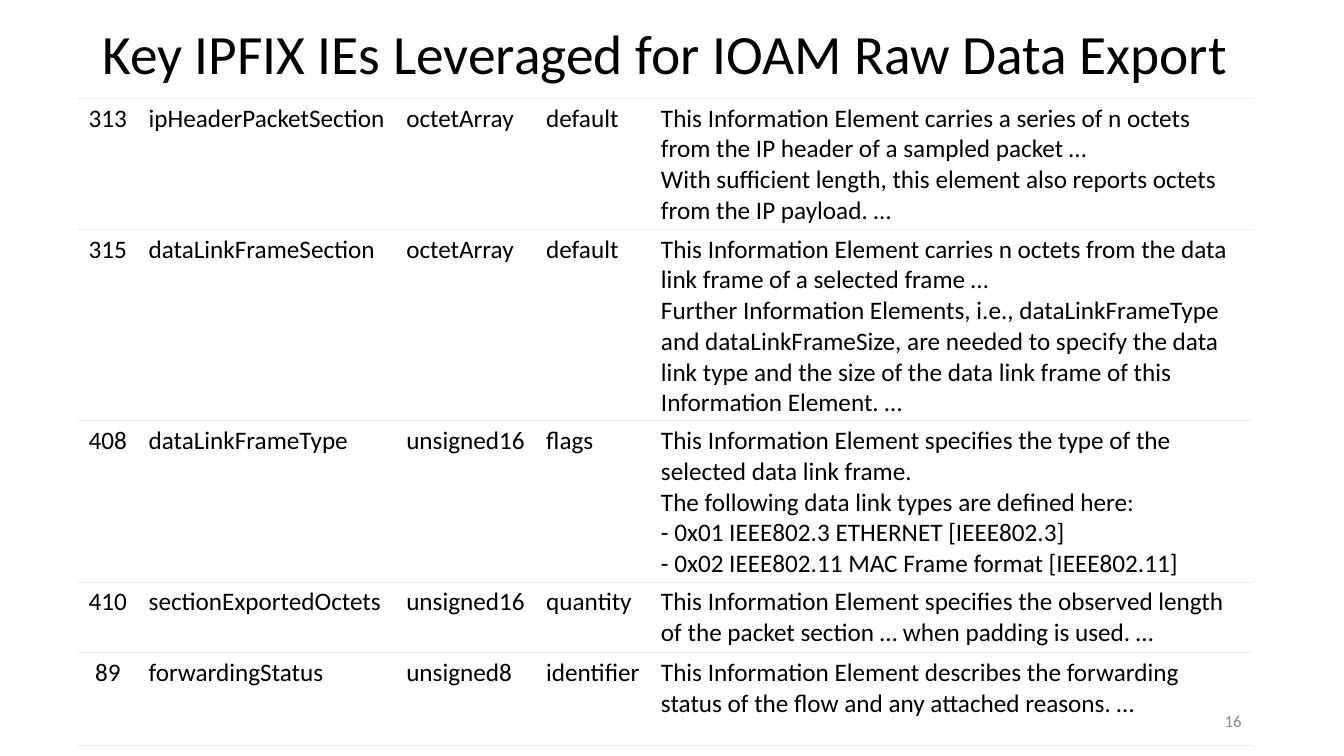
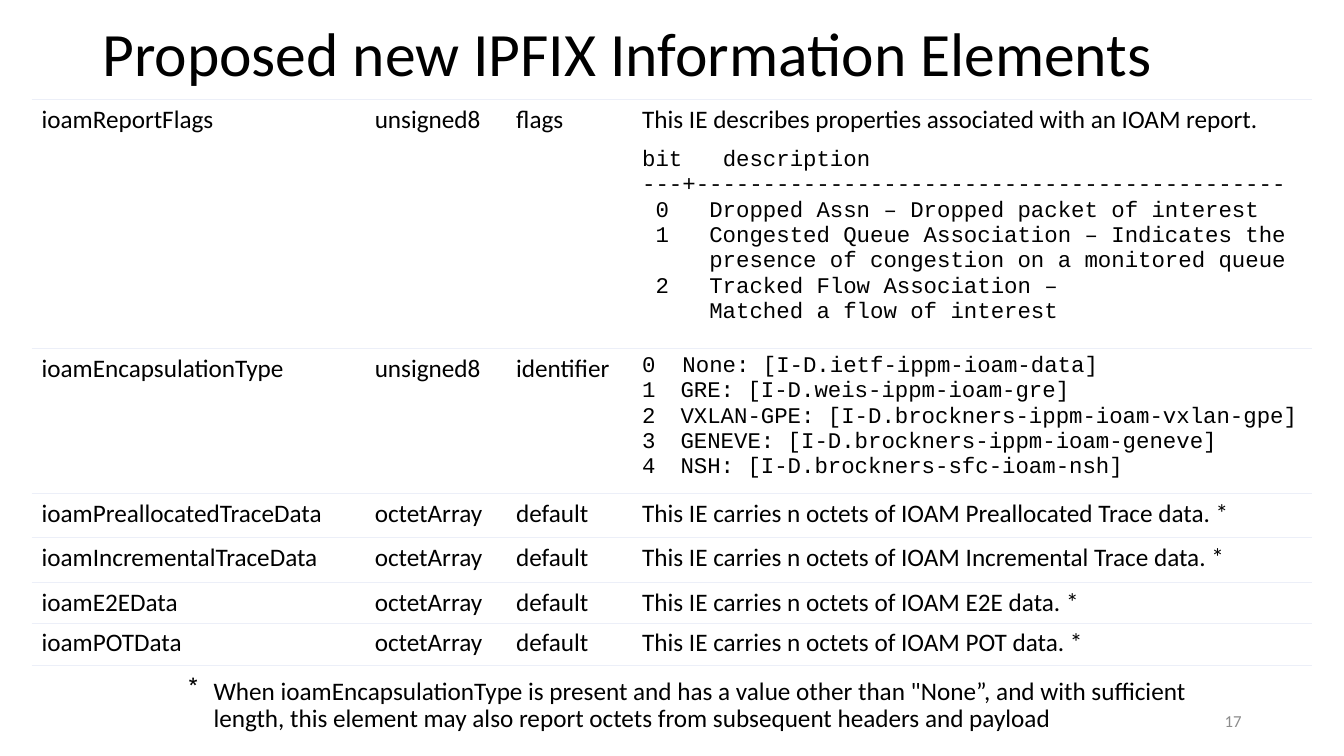
from dataclasses import dataclass
from typing import Optional

from lxml.etree import SubElement
from pptx import Presentation
from pptx.dml.color import RGBColor
from pptx.enum.text import MSO_ANCHOR, PP_ALIGN
from pptx.oxml import parse_xml
from pptx.oxml.ns import nsdecls, qn
from pptx.util import Pt


@dataclass(frozen=True)
class Theme:
    text: str = "000000"
    muted: str = "8C8C8C"
    rule: str = "ECEFF8"
    sans: str = "Calibri"
    mono: str = "Courier New"
    body_size: float = 18
    code_size: float = 16
    number_size: float = 12
    rule_width: float = 0.5


THEME = Theme()
CODE_CHAR = 9.6  # advance of one monospaced character at code size


@dataclass(frozen=True)
class Para:
    """A paragraph; first is its first-line offset from the left indent."""
    text: str
    size: float = THEME.body_size
    font: str = THEME.sans
    color: str = THEME.text
    align: PP_ALIGN = PP_ALIGN.LEFT
    left: float = 0
    first: float = 0
    bullet: Optional[str] = None
    numbered: bool = False
    spacing: Optional[float] = None
    before: float = 0


def code(text, left=0, first=0, **options):
    return Para(text, THEME.code_size, THEME.mono, left=left, first=first, **options)


def flag(bit, text):
    return code(f"{bit}\t{text}", 5 * CODE_CHAR, -4 * CODE_CHAR)


def flag_continued(text):
    return code(text, 5 * CODE_CHAR)


def numbered(text):
    return code(text, 27.4, -27.4, numbered=True)


def write(frame, paras):
    for index, item in enumerate(paras):
        paragraph = frame.paragraphs[0] if index == 0 else frame.add_paragraph()
        paragraph.text = item.text
        paragraph.alignment = item.align
        if item.spacing:
            paragraph.line_spacing = item.spacing
        if item.before:
            paragraph.space_before = Pt(item.before)
        for span in paragraph.runs:
            span.font.size = Pt(item.size)
            span.font.name = item.font
            span.font.bold = False
            span.font.color.rgb = RGBColor.from_string(item.color)
        properties = paragraph._p.get_or_add_pPr()
        if item.left:
            properties.set("marL", str(Pt(item.left)))
            properties.set("indent", str(Pt(item.first)))
        if item.numbered:
            SubElement(properties, qn("a:buAutoNum"), type="arabicPlain")
        elif item.bullet:
            SubElement(properties, qn("a:buChar"), char=item.bullet)


def add_text(page, left, top, width, height, para, anchor=MSO_ANCHOR.MIDDLE):
    box = page.shapes.add_textbox(Pt(left), Pt(top), Pt(width), Pt(height))
    frame = box.text_frame
    frame.word_wrap = True
    frame.vertical_anchor = anchor
    write(frame, [para])


def rule_cell(cell):
    """Give a cell only top and bottom rules, and no fill."""
    cell.fill.background()
    properties = cell._tc.get_or_add_tcPr()
    line = f'<a:solidFill><a:srgbClr val="{THEME.rule}"/></a:solidFill>'
    sides = (("lnL", "<a:noFill/>"), ("lnR", "<a:noFill/>"), ("lnT", line), ("lnB", line))
    for index, (side, paint) in enumerate(sides):
        properties.insert(index, parse_xml(
            f'<a:{side} {nsdecls("a")} w="{Pt(THEME.rule_width)}">{paint}</a:{side}>'))


def add_ruled_table(page, left, top, widths, heights, rows, centred=()):
    """Each cell is a string, or a list of strings and Para items."""
    frame = page.shapes.add_table(len(rows), len(widths), Pt(left), Pt(top),
                                  Pt(sum(widths)), Pt(sum(heights)))
    table = frame.table
    table.first_row = table.horz_banding = False
    for column, width in zip(table.columns, widths):
        column.width = Pt(width)
    for row, height, contents in zip(table.rows, heights, rows):
        row.height = Pt(height)
        for index, (cell, content) in enumerate(zip(row.cells, contents)):
            align = PP_ALIGN.CENTER if index in centred else PP_ALIGN.LEFT
            items = [content] if isinstance(content, str) else content
            write(cell.text_frame, [Para(item, align=align) if isinstance(item, str) else item
                                    for item in items])
            rule_cell(cell)


def add_page(deck, title, title_size, number):
    page = deck.slides.add_slide(deck.slide_layouts[6])
    add_text(page, 66, 10.5, 828, 60, Para(title, title_size, spacing=0.9))
    add_text(page, 678, 500.5, 216, 28.5,
             Para(str(number), THEME.number_size, color=THEME.muted, align=PP_ALIGN.RIGHT))
    return page


KEY_ELEMENTS = [
    ("313", "ipHeaderPacketSection", "octetArray", "default", [
        "This Information Element carries a series of n octets from the IP header of a "
        "sampled packet …",
        "With sufficient length, this element also reports octets from the IP payload. …"]),
    ("315", "dataLinkFrameSection", "octetArray", "default", [
        "This Information Element carries n octets from the data link frame of a "
        "selected frame …",
        "Further Information Elements, i.e., dataLinkFrameType and dataLinkFrameSize, are "
        "needed to specify the data link type and the size of the data link frame of this "
        "Information Element. …"]),
    ("408", "dataLinkFrameType", "unsigned16", "flags", [
        "This Information Element specifies the type of the selected data link frame.",
        "The following data link types are defined here:",
        "- 0x01 IEEE802.3 ETHERNET [IEEE802.3]",
        "- 0x02 IEEE802.11 MAC Frame format [IEEE802.11]"]),
    ("410", "sectionExportedOctets", "unsigned16", "quantity",
     "This Information Element specifies the observed length of the packet section … "
     "when padding is used. …"),
    ("89", "forwardingStatus", "unsigned8", "identifier",
     "This Information Element describes the forwarding status of the flow and any "
     "attached reasons. …"),
]

REPORT_FLAGS = [
    "This IE describes properties associated with an IOAM report.",
    code("bit\tdescription", 6 * CODE_CHAR, -6 * CODE_CHAR, spacing=1.5),
    code("---+" + "-" * 44),
    flag(0, "Dropped Assn – Dropped packet of interest"),
    flag(1, "Congested Queue Association – Indicates the"),
    flag_continued("presence of congestion on a monitored queue"),
    flag(2, "Tracked Flow Association –"),
    flag_continued("Matched a flow of interest"),
]

ENCAPSULATION_TYPES = [
    code("0\tNone: [I-D.ietf-ippm-ioam-data]", 3 * CODE_CHAR, -3 * CODE_CHAR),
    numbered("GRE: [I-D.weis-ippm-ioam-gre]"),
    numbered("VXLAN-GPE: [I-D.brockners-ippm-ioam-vxlan-gpe]"),
    numbered("GENEVE: [I-D.brockners-ippm-ioam-geneve]"),
    numbered("NSH: [I-D.brockners-sfc-ioam-nsh]"),
]

DATA_ELEMENTS = [
    (f"ioam{kind.replace(' ', '')}Data", "octetArray", "default",
     f"This IE carries n octets of IOAM {kind} data. *")
    for kind in ("Preallocated Trace", "Incremental Trace", "E2E", "POT")
]

NEW_ELEMENTS = [
    ("ioamReportFlags", "unsigned8", "flags", REPORT_FLAGS),
    ("ioamEncapsulationType", "unsigned8", "identifier", ENCAPSULATION_TYPES),
    *DATA_ELEMENTS,
]

FOOTNOTE = ('When ioamEncapsulationType is present and has a value other than "None”, and with '
            'sufficient length, this element may also report octets from subsequent headers '
            'and payload')


def add_key_elements(deck):
    page = add_page(deck, "Key IPFIX IEs Leveraged for IOAM Raw Data Export", 39.6, 16)
    add_ruled_table(page, 55, 70, (44, 184, 100, 82, 430), (90, 132, 111, 50, 66),
                    KEY_ELEMENTS, centred=(0,))


def add_new_elements(deck):
    page = add_page(deck, "Proposed new IPFIX Information Elements", 44, 17)
    add_ruled_table(page, 22.5, 71, (238, 101, 90, 486), (178, 82, 32, 32, 28, 30),
                    NEW_ELEMENTS)
    add_text(page, 127.5, 481, 733.5, 39.5,
             Para(FOOTNOTE, left=18, first=-18, bullet="*", spacing=0.9, before=10),
             MSO_ANCHOR.TOP)


def main():
    deck = Presentation()
    deck.slide_width, deck.slide_height = Pt(960), Pt(540)
    add_key_elements(deck)
    add_new_elements(deck)
    deck.save("out.pptx")


if __name__ == "__main__":
    main()
